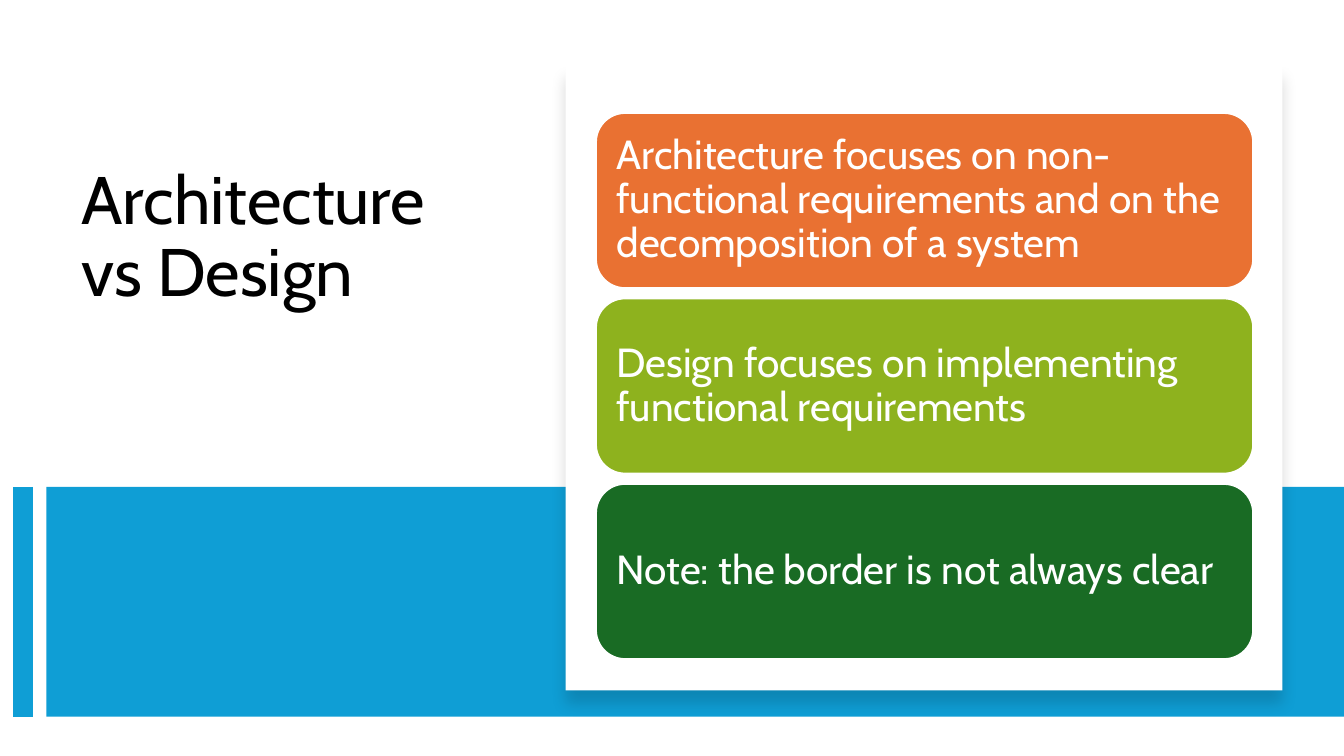
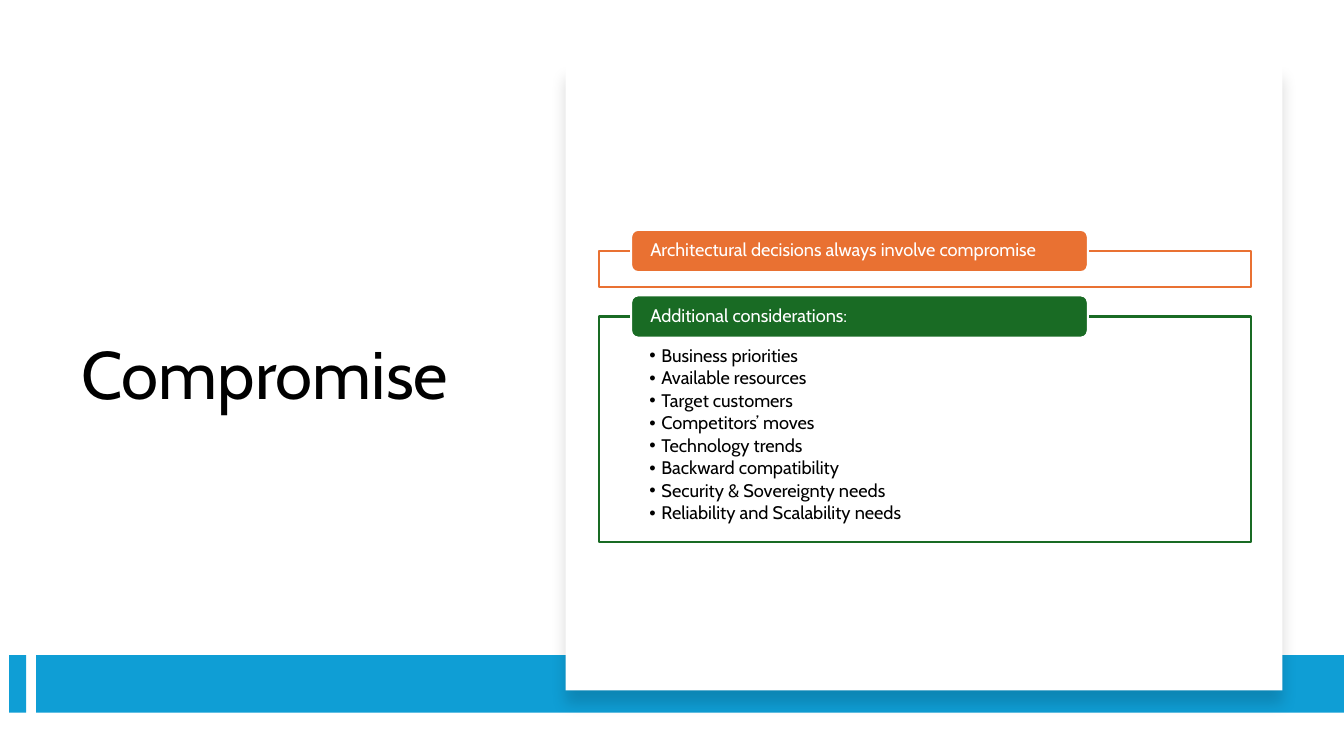
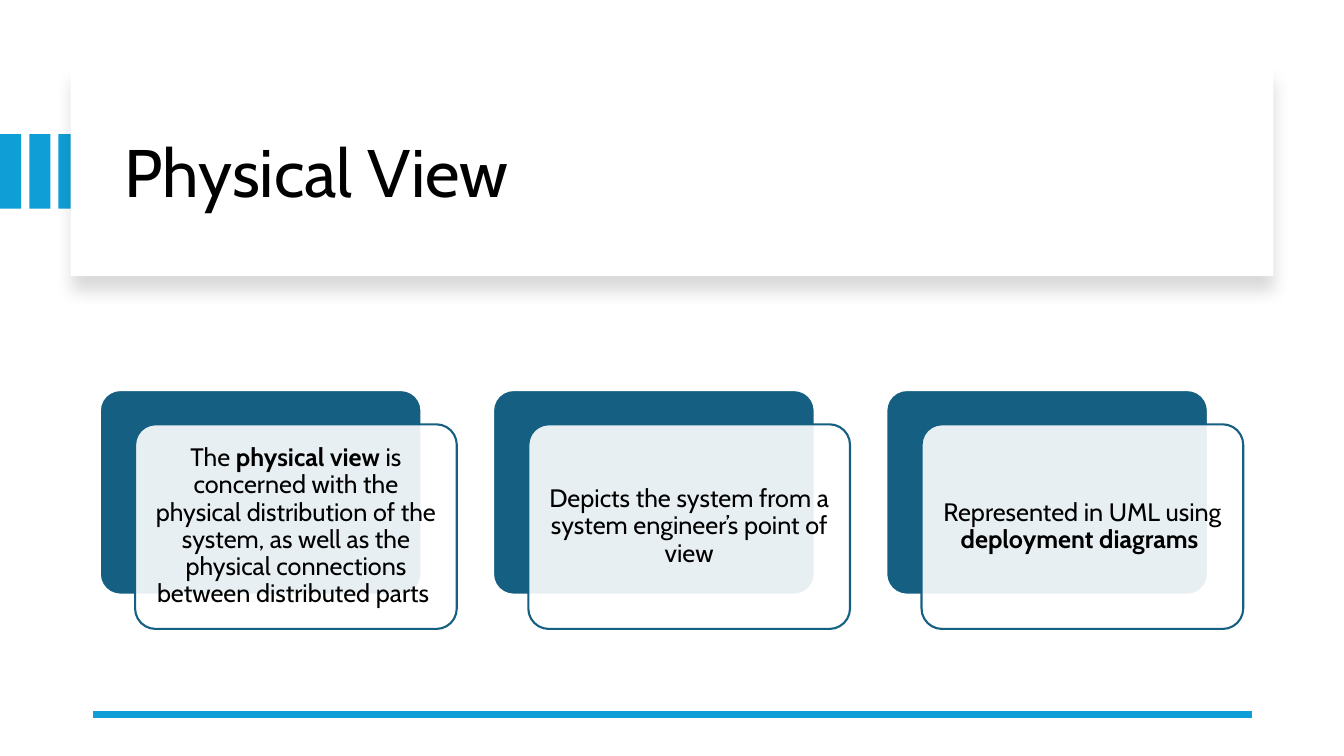
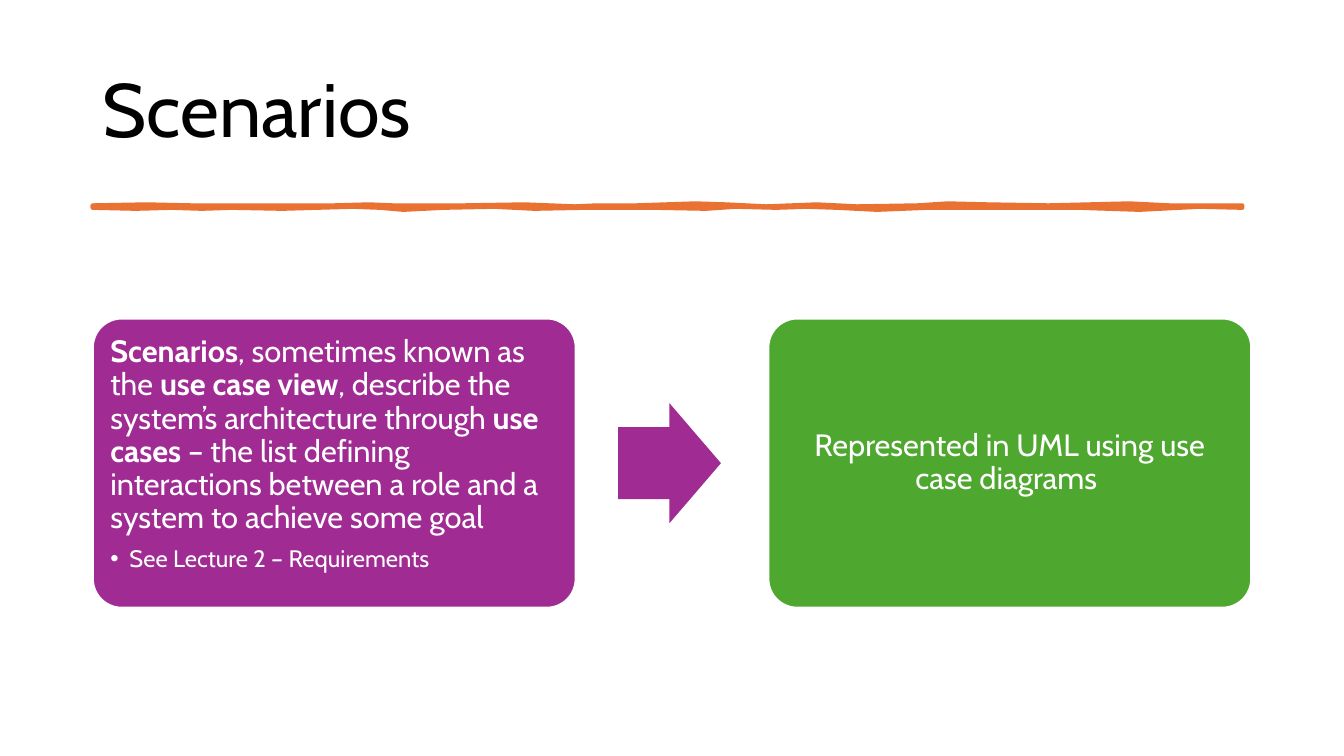
from dataclasses import dataclass
from typing import Optional

from lxml.etree import SubElement
from pptx import Presentation
from pptx.dml.color import RGBColor
from pptx.enum.shapes import MSO_CONNECTOR, MSO_SHAPE as Preset
from pptx.enum.text import MSO_ANCHOR as Anchor, PP_ALIGN as Align
from pptx.oxml.ns import qn
from pptx.util import Inches, Pt

# Shared look
FONT = "Cabin"
WHITE = RGBColor(0xFF, 0xFF, 0xFF)
BLACK = RGBColor(0x00, 0x00, 0x00)
BLUE = RGBColor(0x0F, 0x9E, 0xD5)
TEAL = RGBColor(0x15, 0x60, 0x82)
ORANGE = RGBColor(0xE9, 0x71, 0x32)
LIME = RGBColor(0x8E, 0xB2, 0x1E)
DARK_GREEN = RGBColor(0x19, 0x6B, 0x24)
GREEN = RGBColor(0x4E, 0xA7, 0x2E)
PURPLE = RGBColor(0xA0, 0x2B, 0x93)
BORDER = 1.5


@dataclass(frozen=True)
class Box:
    left: float
    top: float
    width: float
    height: float

    def lengths(self) -> tuple:
        return tuple(Inches(v) for v in (self.left, self.top, self.width, self.height))

    def shifted(self, right: float = 0, down: float = 0) -> "Box":
        return Box(self.left + right, self.top + down, self.width, self.height)


@dataclass(frozen=True)
class Para:
    """One paragraph; text between ** marks is bold."""
    text: str
    size: float
    color: RGBColor = WHITE
    align: Align = Align.LEFT
    bullet_indent: float = 0
    space_after: float = 0


@dataclass(frozen=True)
class Group:
    heading: str
    color: RGBColor
    top: float
    height: float
    items: tuple = ()


SIDE_PANEL = Box(5.61, 0.64, 7.11, 6.21)


# Drawing helpers
def write(shape, paras: list, margins: tuple, anchor: Anchor = Anchor.MIDDLE) -> None:
    frame = shape.text_frame
    frame.word_wrap = True
    frame.vertical_anchor = anchor
    frame.margin_left, frame.margin_top, frame.margin_right, frame.margin_bottom = (
        Inches(m) for m in margins)
    for i, para in enumerate(paras):
        p = frame.add_paragraph() if i else frame.paragraphs[0]
        p.alignment = para.align
        p.line_spacing = 0.9
        p.space_after = Pt(para.space_after)
        if para.bullet_indent:
            props = p._p.get_or_add_pPr()
            props.set("marL", str(Inches(para.bullet_indent)))
            props.set("indent", str(-Inches(para.bullet_indent)))
            SubElement(props, qn("a:buFont")).set("typeface", "Arial")
            SubElement(props, qn("a:buChar")).set("char", "•")
        p.font.name, p.font.size = FONT, Pt(para.size)
        p.font.color.rgb = para.color
        for j, part in enumerate(para.text.split("**")):
            if part:
                run = p.add_run()
                run.text = part
                if j % 2:
                    run.font.bold = True


def add_title(slide, text: str, box: Box, size: float = 48,
              anchor: Anchor = Anchor.MIDDLE) -> None:
    title = slide.shapes.add_textbox(*box.lengths())
    write(title, [Para(text, size, BLACK)], (0.1, 0.05, 0.1, 0.05), anchor)


def add_block(slide, box: Box, fill: RGBColor, line: Optional[RGBColor] = None,
              preset: Preset = Preset.RECTANGLE, adjust: tuple = (),
              opacity: int = 100):
    block = slide.shapes.add_shape(preset, *box.lengths())
    block.shadow.inherit = False
    for i, value in enumerate(adjust):
        block.adjustments[i] = value
    block.fill.solid()
    block.fill.fore_color.rgb = fill
    if opacity < 100:
        color = block._element.spPr.find(qn("a:solidFill"))[0]
        SubElement(color, qn("a:alpha")).set("val", str(opacity * 1000))
    if line is None:
        block.line.fill.background()
    else:
        block.line.color.rgb = line
        block.line.width = Pt(BORDER)
    return block


def add_panel(slide, box: Box) -> None:
    """White panel with a soft shadow below."""
    panel = add_block(slide, box, WHITE)
    effects = panel._element.spPr.find(qn("a:effectLst"))
    shadow = SubElement(effects, qn("a:outerShdw"), blurRad=str(Pt(11)),
                        dist=str(Pt(10)), dir="5400000", algn="t", rotWithShape="0")
    color = SubElement(shadow, qn("a:srgbClr"), val=str(BLACK))
    SubElement(color, qn("a:alpha"), val="15000")


def add_line(slide, x1: float, y1: float, x2: float, y2: float, width: float) -> None:
    line = slide.shapes.add_connector(
        MSO_CONNECTOR.STRAIGHT, Inches(x1), Inches(y1), Inches(x2), Inches(y2))
    line.line.color.rgb = BLUE
    line.line.width = Pt(width)
    SubElement(line._element.spPr, qn("a:effectLst"))


# Slides
def build_design(slide) -> None:
    add_title(slide, "Architecture vs Design", Box(0.71, 1.6, 4.15, 2.94),
              anchor=Anchor.TOP)
    add_block(slide, Box(0.46, 4.83, 12.87, 2.28), BLUE)
    add_line(slide, 0.23, 4.83, 0.23, 7.11, 14)
    add_panel(slide, SIDE_PANEL)
    statements = [
        ("Architecture focuses on non-functional requirements and on the "
         "decomposition of a system", ORANGE),
        ("Design focuses on implementing functional requirements", LIME),
        ("Note: the border is not always clear", DARK_GREEN),
    ]
    first = Box(5.91, 1.12, 6.52, 1.74)
    for i, (text, color) in enumerate(statements):
        card = add_block(slide, first.shifted(down=1.84 * i), color, WHITE,
                         Preset.ROUNDED_RECTANGLE)
        write(card, [Para(text, 29)], (0.12,) * 4)


def build_compromise(slide) -> None:
    add_title(slide, "Compromise", Box(0.71, 1.2, 4.15, 5.1))
    add_block(slide, Box(0.09, 6.5, 0.17, 0.57), BLUE)
    add_block(slide, Box(0.36, 6.5, 12.97, 0.57), BLUE)
    add_panel(slide, SIDE_PANEL)
    groups = [
        Group("Architectural decisions always involve compromise", ORANGE, 2.49, 0.36),
        Group("Additional considerations:", DARK_GREEN, 3.14, 2.24, (
            "Business priorities", "Available resources", "Target customers",
            "Competitors’ moves", "Technology trends", "Backward compatibility",
            "Security & Sovereignty needs", "Reliability and Scalability needs")),
    ]
    for group in groups:
        outline = add_block(slide, Box(5.94, group.top, 6.47, group.height), WHITE,
                            group.color, opacity=90)
        if group.items:
            write(outline, [Para(item, 13, BLACK, bullet_indent=0.12, space_after=2)
                            for item in group.items],
                  (0.5, 0.3, 0.5, 0.1), Anchor.TOP)
        heading = add_block(slide, Box(6.26, group.top - 0.21, 4.53, 0.42),
                            group.color, WHITE, Preset.ROUNDED_RECTANGLE)
        write(heading, [Para(group.heading, 13)], (0.17, 0, 0.17, 0))


def build_physical_view(slide) -> None:
    stripe = Box(0, 1.33, 0.21, 0.74)
    for i in range(3):
        add_block(slide, stripe.shifted(right=0.29 * i), BLUE)
    add_panel(slide, Box(0.7, 0.67, 11.93, 2.07))
    add_title(slide, "Physical View", Box(1.14, 0.89, 11.13, 1.7))
    add_line(slide, 12.42, 7.09, 0.92, 7.09, 4.5)
    statements = [
        "The **physical view** is concerned with the physical distribution of the "
        "system, as well as the physical connections between distributed parts ",
        "Depicts the system from a system engineer’s point of view",
        "Represented in UML using **deployment diagrams **",
    ]
    first = Box(0.99, 3.87, 3.19, 2.03)
    for i, text in enumerate(statements):
        back = first.shifted(right=3.9 * i)
        add_block(slide, back, TEAL, WHITE, Preset.ROUNDED_RECTANGLE, (0.1,))
        front = add_block(slide, back.shifted(0.35, 0.34), WHITE, TEAL,
                          Preset.ROUNDED_RECTANGLE, (0.1,), opacity=90)
        write(front, [Para(text, 18, BLACK, Align.CENTER)], (0.07,) * 4)


def add_brush_rule(slide) -> None:
    """Hand-drawn rule: upper edge left to right, lower edge back."""
    upper = [(0.92, 2.04), (1.45, 2.03), (1.9, 2.04), (2.35, 2.04), (2.75, 2.04),
             (3.31, 2.04), (3.66, 2.03), (3.9, 2.04), (4.6, 2.04), (5.2, 2.03),
             (5.7, 2.05), (5.92, 2.04), (6.31, 2.04), (6.9, 2.02), (7.2, 2.03),
             (7.6, 2.05), (8.1, 2.03), (8.5, 2.05), (9.1, 2.04), (9.4, 2.02),
             (9.8, 2.03), (10.4, 2.04), (11.2, 2.02), (11.6, 2.04), (12.32, 2.04)]
    lower = [(12.32, 2.06), (11.9, 2.05), (11.3, 2.08), (10.7, 2.06), (10.2, 2.06),
             (9.6, 2.06), (9.2, 2.06), (8.7, 2.08), (8.3, 2.06), (8.0, 2.05),
             (7.7, 2.06), (7.3, 2.05), (7.0, 2.07), (6.5, 2.06), (5.8, 2.06),
             (5.3, 2.07), (4.9, 2.05), (4.4, 2.06), (4.0, 2.08), (3.77, 2.06),
             (3.5, 2.05), (2.8, 2.07), (2.3, 2.06), (2.0, 2.07), (1.7, 2.06),
             (1.35, 2.07), (0.92, 2.06)]
    points = [(Inches(x), Inches(y)) for x, y in upper + lower]
    builder = slide.shapes.build_freeform(*points[0])
    builder.add_line_segments(points[1:], close=True)
    rule = builder.convert_to_shape()
    rule.shadow.inherit = False
    rule.fill.solid()
    rule.fill.fore_color.rgb = ORANGE
    rule.line.color.rgb = ORANGE
    rule.line.width = Pt(3.25)


def build_scenarios(slide) -> None:
    add_title(slide, "Scenarios", Box(0.92, 0.4, 11.5, 1.45), 54)
    add_brush_rule(slide)
    definition_box = Box(0.92, 3.16, 4.79, 2.87)
    definition = add_block(slide, definition_box, PURPLE, WHITE,
                           Preset.ROUNDED_RECTANGLE, (0.1,))
    write(definition, [
        Para("**Scenarios**, sometimes known as the **use case view**, describe the "
             "system’s architecture through **use cases** – the list defining "
             "interactions between a role and a system to achieve some goal",
             22, space_after=8),
        Para("See Lecture 2 – Requirements", 17, bullet_indent=0.19),
    ], (0.09,) * 4, Anchor.TOP)
    add_block(slide, Box(6.13, 4, 1.02, 1.19), PURPLE, preset=Preset.RIGHT_ARROW,
              adjust=(0.6, 0.5))
    notation = add_block(slide, definition_box.shifted(right=6.7), GREEN, WHITE,
                         Preset.ROUNDED_RECTANGLE, (0.1,))
    write(notation, [Para("Represented in UML using use case diagrams ", 22,
                          align=Align.CENTER)], (0.09,) * 4)


def main() -> None:
    deck = Presentation()
    deck.slide_width, deck.slide_height = Inches(13.33), Inches(7.5)
    blank = deck.slide_layouts[6]
    for build in (build_design, build_compromise, build_physical_view, build_scenarios):
        build(deck.slides.add_slide(blank))
    deck.save("out.pptx")


if __name__ == "__main__":
    main()
